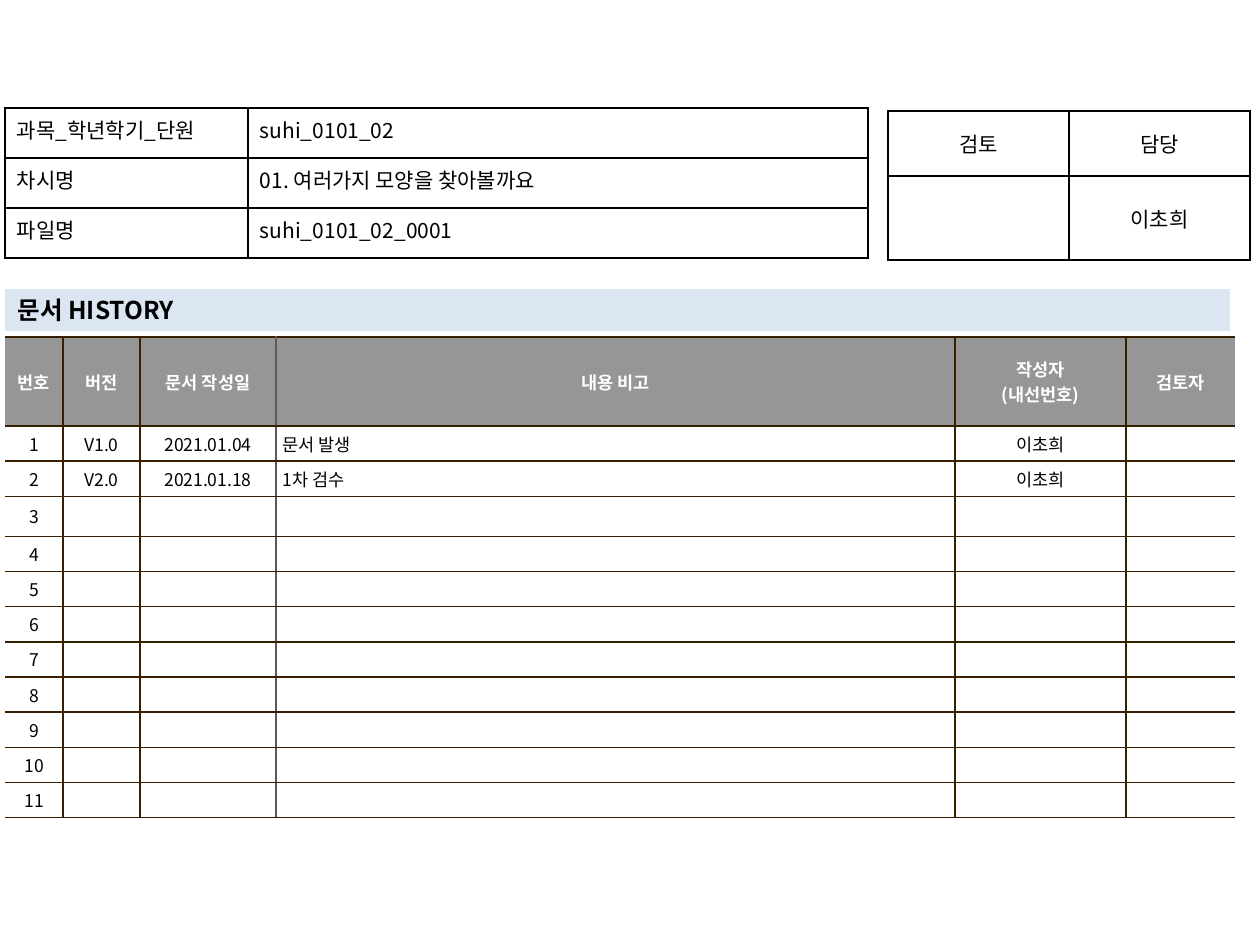
from dataclasses import dataclass

from lxml.etree import SubElement
from pptx import Presentation
from pptx.dml.color import RGBColor
from pptx.enum.text import MSO_ANCHOR, MSO_AUTO_SIZE, PP_ALIGN
from pptx.oxml.ns import qn
from pptx.util import Emu, Pt

PX = 914400 // 126
PAGE_SIZE = (1260, 945)


@dataclass(frozen=True)
class Theme:
    font: str = "Noto Sans CJK KR"
    text: str = "000000"
    white: str = "FFFFFF"
    bar: str = "DCE6F2"
    header: str = "969696"
    rule: str = "362000"
    soft_rule: str = "645B4C"
    title_size: int = 14
    info_size: int = 12
    history_size: int = 10


THEME = Theme()
LEFT, CENTER, JUSTIFY = PP_ALIGN.LEFT, PP_ALIGN.CENTER, PP_ALIGN.JUSTIFY

TITLE = "문서 HISTORY"
TITLE_BOX = (5, 289, 1225, 42)

LESSON = [
    ("과목_학년학기_단원", "suhi_0101_02"),
    ("차시명", "01. 여러가지 모양을 찾아볼까요"),
    ("파일명", "suhi_0101_02_0001"),
]
REVIEW = [("검토", "담당"), ("", "이초희")]

HISTORY_HEADER = ("번호", "버전", "문서 작성일", "내용 비고", "작성자\n(내선번호)", "검토자")
HISTORY_ENTRIES = [
    ("V1.0", "2021.01.04", "문서 발생", "이초희", ""),
    ("V2.0", "2021.01.18", "1차 검수", "이초희", ""),
]
HISTORY_LENGTH = 11
DATE_COLUMN, NOTE_COLUMN = 2, 3


def px(length):
    return Emu(length * PX)


def style_text(frame, size, color, bold=False, align=LEFT):
    for para in frame.paragraphs:
        para.alignment = align
        for span in para.runs:
            span.font.name = THEME.font
            span.font.size = Pt(size)
            span.font.bold = bold
            span.font.color.rgb = RGBColor.from_string(color)
            east_asian = SubElement(span._r.get_or_add_rPr(), qn("a:ea"))
            east_asian.set("typeface", THEME.font)
        if not para.runs:
            # An empty cell must not stretch its row with the default size.
            para._p.get_or_add_endParaRPr().set("sz", str(size * 100))


def set_borders(cell, **colors):
    """Draw 1 pt borders on the sides L, R, T and B; None leaves a side open."""
    properties = cell._tc.get_or_add_tcPr()
    for side in "LRTB":
        line = SubElement(properties, qn(f"a:ln{side}"), w=str(Pt(1)))
        if colors[side] is None:
            SubElement(line, qn("a:noFill"))
        else:
            fill = SubElement(line, qn("a:solidFill"))
            SubElement(fill, qn("a:srgbClr"), val=colors[side])


def add_grid(page, left, top, widths, heights, rows, margins):
    """Add a table and return its cells as {(row, column): cell}."""
    frame = page.shapes.add_table(
        len(heights), len(widths), px(left), px(top), px(sum(widths)), px(sum(heights))
    )
    table = frame.table
    table.first_row = table.horz_banding = False
    for column, width in zip(table.columns, widths):
        column.width = px(width)
    for row, height in zip(table.rows, heights):
        row.height = px(height)
    side, end = map(px, margins)
    cells = {}
    for r, row in enumerate(rows):
        for c, text in enumerate(row):
            cell = cells[r, c] = table.cell(r, c)
            cell.text_frame.text = text
            cell.margin_left = cell.margin_right = side
            cell.margin_top = cell.margin_bottom = end
    return cells


def add_info_table(page, left, top, widths, heights, rows, aligns, anchor):
    cells = add_grid(page, left, top, widths, heights, rows, (12, 6))
    for (_, column), cell in cells.items():
        cell.vertical_anchor = anchor
        set_borders(cell, **dict.fromkeys("LRTB", THEME.text))
        cell.fill.background()
        style_text(cell.text_frame, THEME.info_size, THEME.text, align=aligns[column])


def add_history_table(page):
    widths = [58, 77, 136, 679, 171, 109]
    heights = [89] + [35] * HISTORY_LENGTH
    heights[3] = 40
    blank = ("",) * (len(widths) - 1)
    entries = HISTORY_ENTRIES + [blank] * (HISTORY_LENGTH - len(HISTORY_ENTRIES))
    rows = [HISTORY_HEADER]
    rows += [(str(number), *entry) for number, entry in enumerate(entries, 1)]

    # Vertical rules from left to right; the outer edges stay open.
    rules = [None] + [THEME.rule] * (len(widths) - 1) + [None]
    rules[NOTE_COLUMN] = THEME.soft_rule

    cells = add_grid(page, 5, 337, widths, heights, rows, (7, 5))
    for (row, column), cell in cells.items():
        is_header = row == 0
        cell.vertical_anchor = MSO_ANCHOR.MIDDLE
        set_borders(cell, L=rules[column], R=rules[column + 1], T=THEME.rule, B=THEME.rule)
        cell.fill.solid()
        cell.fill.fore_color.rgb = RGBColor.from_string(
            THEME.header if is_header else THEME.white
        )
        style_text(
            cell.text_frame,
            THEME.history_size,
            THEME.white if is_header else THEME.text,
            bold=is_header,
            align=LEFT if column == NOTE_COLUMN and not is_header else CENTER,
        )


def add_title(page):
    title = page.shapes.title
    title.left, title.top, title.width, title.height = map(px, TITLE_BOX)
    title.fill.solid()
    title.fill.fore_color.rgb = RGBColor.from_string(THEME.bar)
    frame = title.text_frame
    frame.text = TITLE
    frame.word_wrap = True
    frame.auto_size = MSO_AUTO_SIZE.NONE
    frame.vertical_anchor = MSO_ANCHOR.MIDDLE
    style_text(frame, THEME.title_size, THEME.text, bold=True)


def main():
    deck = Presentation()
    deck.slide_width, deck.slide_height = map(px, PAGE_SIZE)
    page = deck.slides.add_slide(deck.slide_layouts[5])
    add_title(page)
    add_history_table(page)
    add_info_table(
        page, 888, 111, [181, 181], [65, 84], REVIEW, (CENTER, CENTER), MSO_ANCHOR.MIDDLE
    )
    add_info_table(
        page, 5, 108, [243, 620], [50, 50, 50], LESSON, (JUSTIFY, LEFT), MSO_ANCHOR.TOP
    )
    deck.save("out.pptx")


if __name__ == "__main__":
    main()
